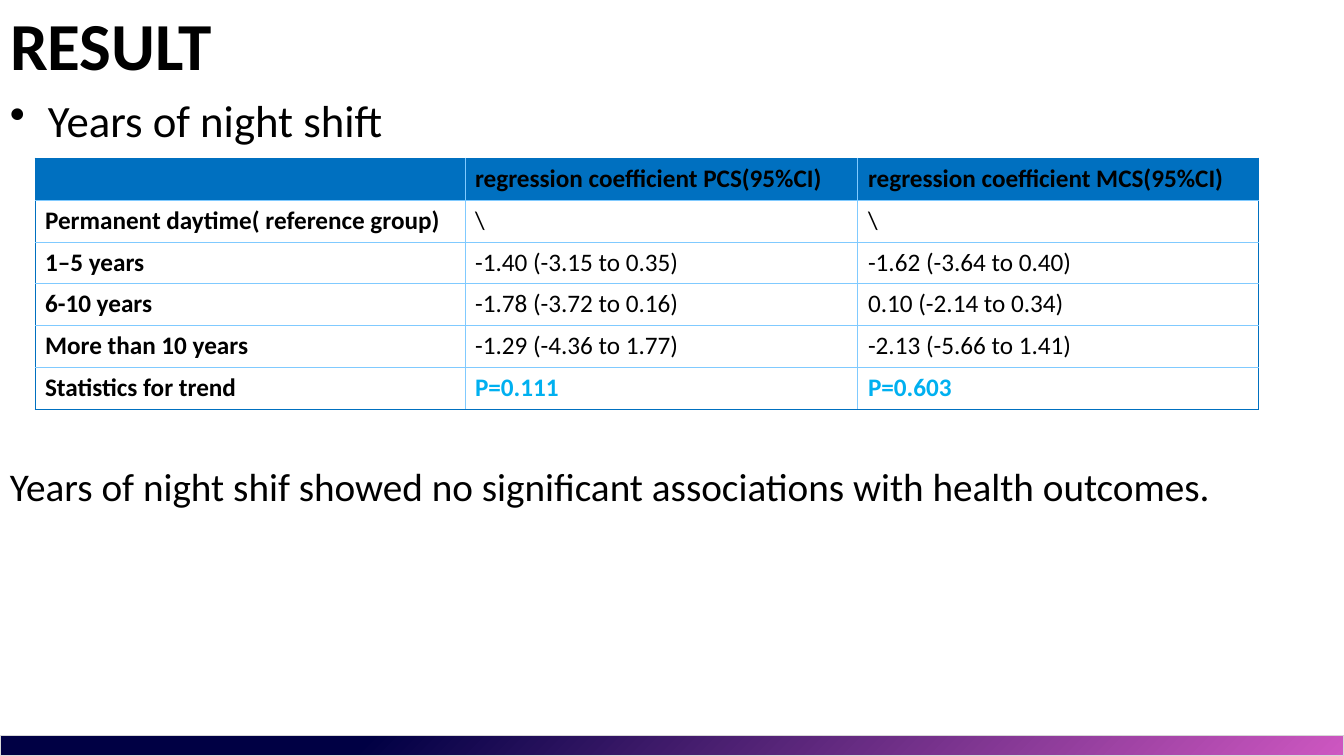
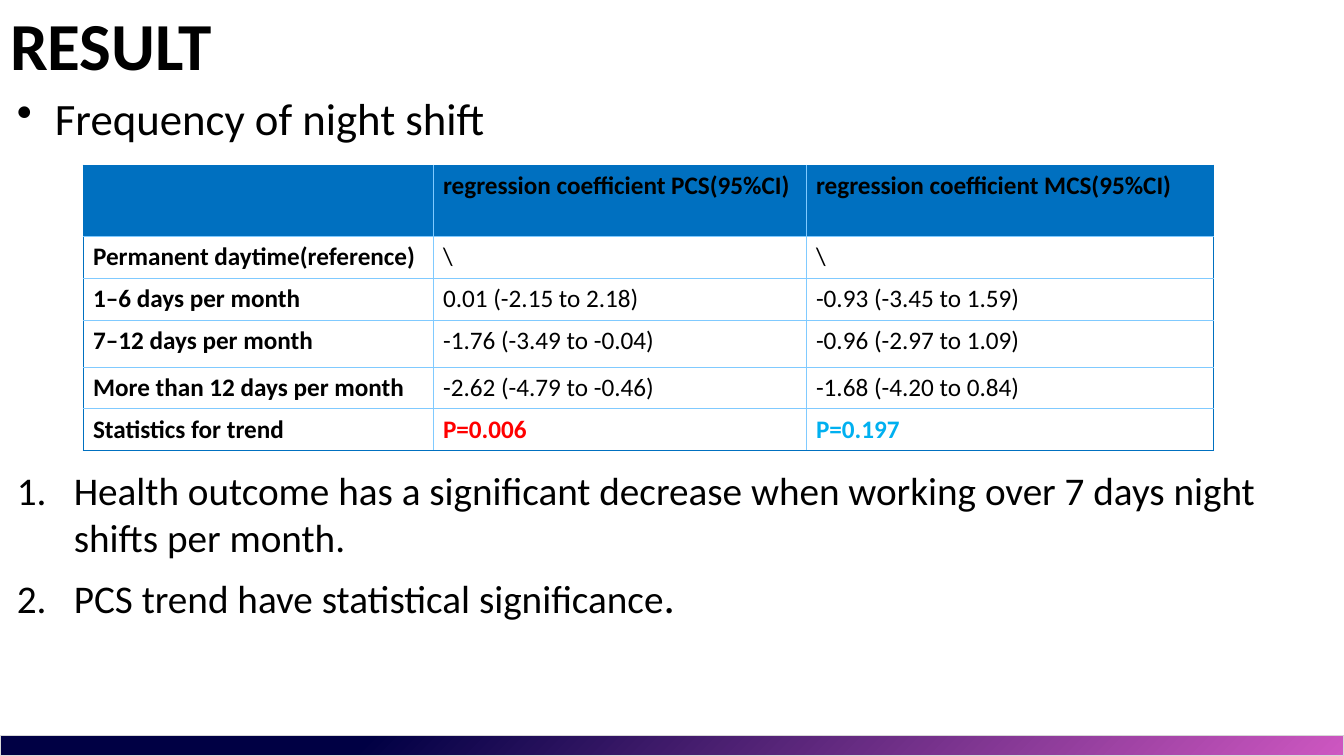
import pptx
import pptx.dml.color
import pptx.enum.shapes
import pptx.enum.text
import pptx.oxml
import pptx.oxml.ns
import pptx.util

RGB = pptx.dml.color.RGBColor
BLACK = RGB(0x00, 0x00, 0x00)
HEADER_BLUE = RGB(0x00, 0x70, 0xC0)
GRID_BLUE = RGB(0x80, 0xCA, 0xFF)
CYAN = RGB(0x00, 0xB0, 0xF0)
RED = RGB(0xFF, 0x00, 0x00)
NAVY = RGB(0x00, 0x00, 0x44)
PINK = RGB(0xCE, 0x57, 0xC1)
BAND_EDGE = RGB(0xD8, 0xD8, 0xD8)

SLIDE_W, SLIDE_H = 1344, 756
EMU_PER_PX = 12192000 / SLIDE_W
TITLE_ONLY = 5
BULLET = '<a:buChar {} char="•"/>'
NUMBER = '<a:buAutoNum {} type="arabicPeriod"/>'
HEADINGS = ["", "regression coefficient PCS(95%CI)", "regression coefficient MCS(95%CI)"]

YEARS_ROWS = [
    HEADINGS,
    ["Permanent daytime( reference group)", "\\", "\\"],
    ["1–5 years", "-1.40 (-3.15 to 0.35)", "-1.62 (-3.64 to 0.40)"],
    ["6-10 years", "-1.78 (-3.72 to 0.16)", "0.10 (-2.14 to 0.34)"],
    ["More than 10 years", "-1.29 (-4.36 to 1.77)", "-2.13 (-5.66 to 1.41)"],
    ["Statistics for trend", "P=0.111", "P=0.603"],
]
FREQUENCY_ROWS = [
    HEADINGS,
    ["Permanent daytime(reference)", "\\", "\\"],
    ["1–6 days per month", "0.01 (-2.15 to 2.18)", "-0.93 (-3.45 to 1.59)"],
    ["7–12 days per month", "-1.76 (-3.49 to -0.04)", "-0.96 (-2.97 to 1.09)"],
    ["More than 12 days per month", "-2.62 (-4.79 to -0.46)", "-1.68 (-4.20 to 0.84)"],
    ["Statistics for trend", "P=0.006", "P=0.197"],
]


def px(length):
    return pptx.util.Emu(round(length * EMU_PER_PX))


def box(*lengths):
    return [px(length) for length in lengths]


def parse(template):
    return pptx.oxml.parse_xml(template.format(pptx.oxml.ns.nsdecls("a")))


def add_text(paragraph, text, size, bold=False, color=BLACK):
    font_format = {"name": "Calibri", "size": pptx.util.Pt(size), "bold": bold}
    run = paragraph.add_run()
    run.text = text
    for attribute, value in font_format.items():
        setattr(run.font, attribute, value)
    run.font.color.rgb = color


def add_band(layout, slide):
    """Draw the bottom band, then hand it to the layout that the slides share."""
    band = slide.shapes.add_shape(
        pptx.enum.shapes.MSO_SHAPE.RECTANGLE, *box(0, 736, SLIDE_W, SLIDE_H - 736))
    band.shadow.inherit = False
    band.fill.gradient()
    band.fill.gradient_angle = 315
    for stop, position, color in zip(band.fill.gradient_stops, (0.27, 1), (NAVY, PINK)):
        stop.position = position
        stop.color.rgb = color
    band.line.color.rgb = BAND_EDGE
    band.line.width = pptx.util.Pt(0.75)
    layout.shapes.element.append(band.element)


def set_title(slide, text):
    title = slide.shapes.title
    title.left, title.top, title.width, title.height = box(0, 0, 727, 87)
    frame = title.text_frame
    frame.vertical_anchor = pptx.enum.text.MSO_ANCHOR.MIDDLE
    frame.paragraphs[0].alignment = pptx.enum.text.PP_ALIGN.LEFT
    add_text(frame.paragraphs[0], text, 48, bold=True)


def add_paragraphs(slide, place, paragraphs, size, marker=None, indent=0):
    """Each paragraph is a list of (text, format) runs."""
    frame = slide.shapes.add_textbox(*box(*place)).text_frame
    frame.word_wrap = True
    for index, runs in enumerate(paragraphs):
        paragraph = frame.add_paragraph() if index else frame.paragraphs[0]
        if index:
            paragraph.space_before = pptx.util.Pt(6)
        if marker:
            properties = paragraph._p.get_or_add_pPr()
            properties.set("marL", str(px(indent)))
            properties.set("indent", str(-px(indent)))
            properties.append(parse(marker))
        for text, run_format in runs:
            add_text(paragraph, text, **{"size": size, **run_format})


def set_borders(cell, colors):
    """Colours come in the order left, right, top, bottom."""
    properties = cell._tc.get_or_add_tcPr()
    for index, (side, color) in enumerate(zip("LRTB", colors)):
        properties.insert(index, parse(
            f'<a:ln{side} {{}} w="9525"><a:solidFill><a:srgbClr val="{color}"/>'
            f'</a:solidFill></a:ln{side}>'))


def add_results(slide, left, top, widths, heights, rows, trend_colors):
    table = slide.shapes.add_table(
        len(rows), len(widths), *box(left, top, sum(widths), sum(heights))).table
    table.first_row = table.horz_banding = False
    for column, width in zip(table.columns, widths):
        column.width = px(width)
    for row, height in zip(table.rows, heights):
        row.height = px(height)
    last_row, last_column = len(rows) - 1, len(widths) - 1
    for r, texts in enumerate(rows):
        for c, text in enumerate(texts):
            cell = table.cell(r, c)
            if r == 0:
                cell.fill.solid()
                cell.fill.fore_color.rgb = HEADER_BLUE
            else:
                cell.fill.background()
            outer = (c == 0, c == last_column, r == 0, r in (0, last_row))
            set_borders(cell, [HEADER_BLUE if edge else GRID_BLUE for edge in outer])
            if text:
                color = trend_colors[c - 1] if r == last_row and c else BLACK
                add_text(cell.text_frame.paragraphs[0], text, 18,
                         bold=r in (0, last_row) or c == 0, color=color)


def main():
    deck = pptx.Presentation()
    deck.slide_width, deck.slide_height = box(SLIDE_W, SLIDE_H)
    layout = deck.slide_layouts[TITLE_ONLY]
    years, frequency = [deck.slides.add_slide(layout) for _ in range(2)]
    add_band(layout, years)
    for slide in (years, frequency):
        set_title(slide, "RESULT")

    add_paragraphs(years, (0, 88, 1336, 65), [[("Years of night shift", {})]],
                   32, BULLET, 38)
    add_results(years, 35, 158, (430, 393, 401), [42] * 6, YEARS_ROWS, (CYAN, CYAN))
    add_paragraphs(years, (0, 457, 1336, 60), [[(
        "Years of night shif showed no significant associations with health outcomes.",
        {})]], 28)

    add_paragraphs(frequency, (7, 86, 1330, 65), [[("Frequency of night shift", {})]],
                   32, BULLET, 38)
    add_results(frequency, 83, 165, (350, 373, 408), (71, 42, 42, 47, 42, 42),
                FREQUENCY_ROWS, (RED, CYAN))
    add_paragraphs(frequency, (7, 461, 1330, 170), [
        [("Health outcome has a significant decrease when working over 7 days night "
          "shifts per month.", {})],
        [("PCS trend have statistical significance", {}), (".", {"size": 32})],
    ], 28, NUMBER, 57)
    deck.save("out.pptx")


if __name__ == "__main__":
    main()
